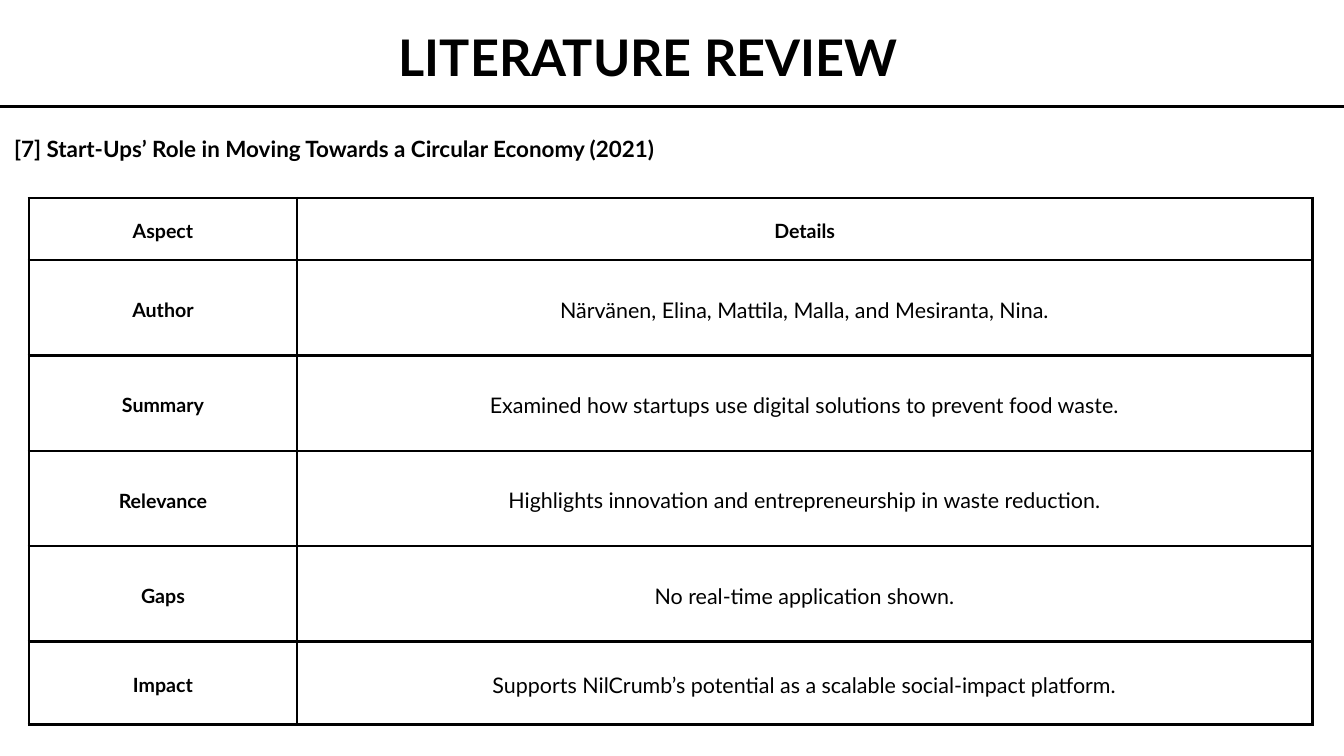
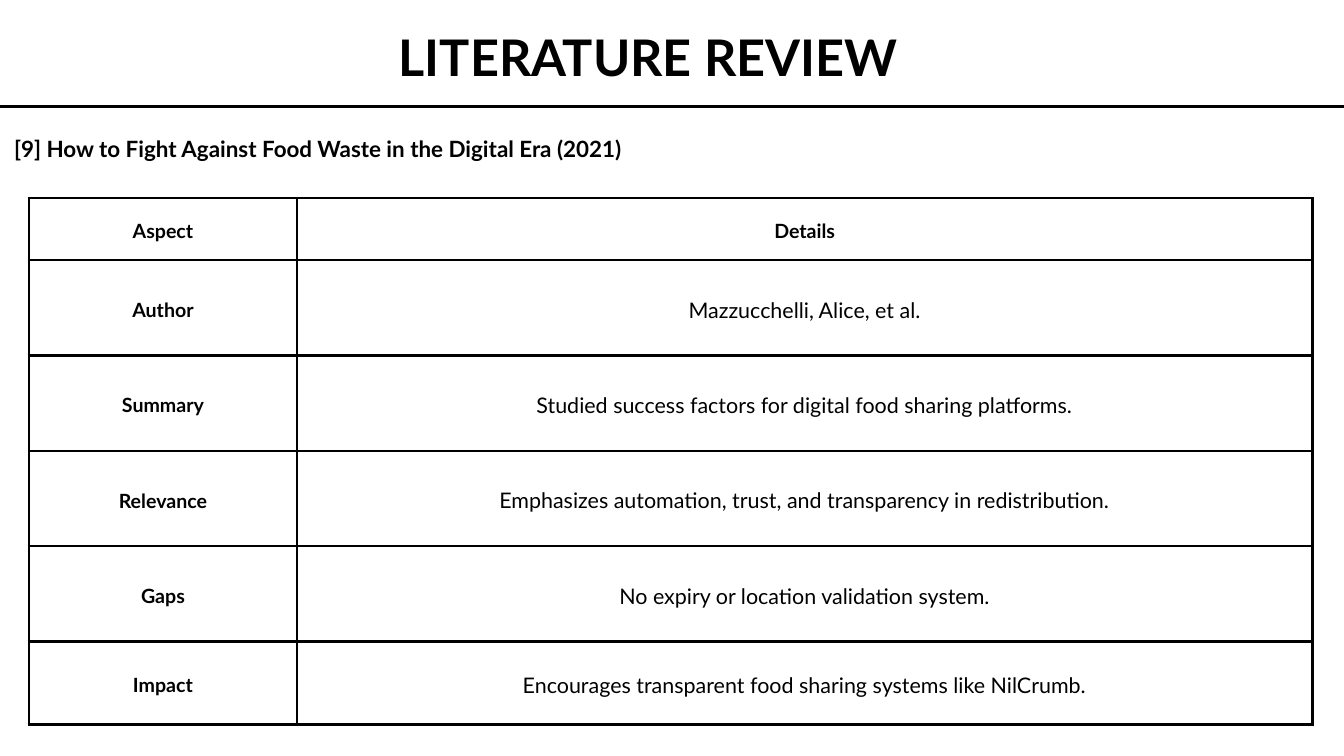
from lxml.etree import SubElement
from pptx import Presentation
from pptx.dml.color import RGBColor
from pptx.enum.shapes import MSO_CONNECTOR
from pptx.enum.text import MSO_ANCHOR, PP_ALIGN
from pptx.oxml.ns import qn
from pptx.util import Inches, Pt

COLORS = {"ink": "000000", "paper": "FFFFFF"}
FONT = "Lato"
LEADING = 1.4
RULE_WIDTH = Pt(3)
ASPECTS = ["Author", "Summary", "Relevance", "Gaps", "Impact"]
REVIEWS = [
    ("[7] Start-Ups’ Role in Moving Towards a Circular Economy (2021)", [
        "Närvänen, Elina, Mattila, Malla, and Mesiranta, Nina.",
        "Examined how startups use digital solutions to prevent food waste.",
        "Highlights innovation and entrepreneurship in waste reduction.",
        "No real-time application shown.",
        "Supports NilCrumb’s potential as a scalable social-impact platform.",
    ]),
    ("[9] How to Fight Against Food Waste in the Digital Era (2021)", [
        "Mazzucchelli, Alice, et al.",
        "Studied success factors for digital food sharing platforms.",
        "Emphasizes automation, trust, and transparency in redistribution.",
        "No expiry or location validation system.",
        "Encourages transparent food sharing systems like NilCrumb.",
    ]),
]

deck = Presentation()
deck.slide_width = Inches(20)
deck.slide_height = Inches(11.25)
column = deck.slide_width // 20
row = deck.slide_height // 45
aspect_width, details_width = 3.99 * column, 15.11 * column
row_heights = [3.68 * row] + [5.68 * row] * 4 + [4.92 * row]
cell_margin = Inches(0.21)


def write(frame, text, size, bold=True, align=PP_ALIGN.CENTER):
    frame.word_wrap = True
    paragraph = frame.paragraphs[0]
    paragraph.text = text
    paragraph.alignment = align
    paragraph.line_spacing = Pt(round(size * LEADING, 1))
    paragraph.font.name = FONT
    paragraph.font.size = Pt(size)
    paragraph.font.bold = bold
    paragraph.font.color.rgb = RGBColor.from_string(COLORS["ink"])


def add_heading(slide, text, size, left, top, width, height, align):
    frame = slide.shapes.add_textbox(
        int(left * column), int(top * row), int(width * column), int(height * row)
    ).text_frame
    frame.margin_left = frame.margin_right = frame.margin_top = frame.margin_bottom = 0
    write(frame, text, size, align=align)


for paper, details in REVIEWS:
    slide = deck.slides.add_slide(deck.slide_layouts[6])
    slide.background.fill.solid()
    slide.background.fill.fore_color.rgb = RGBColor.from_string(COLORS["paper"])

    rule_y = int(6.36 * row)
    title_rule = slide.shapes.add_connector(
        MSO_CONNECTOR.STRAIGHT, int(-0.59 * column), rule_y, int(20.59 * column), rule_y
    )
    title_rule.line.color.rgb = RGBColor.from_string(COLORS["ink"])
    title_rule.line.width = RULE_WIDTH
    SubElement(title_rule._element.spPr, qn("a:effectLst"))

    entries = [("Aspect", "Details"), *zip(ASPECTS, details)]
    review = slide.shapes.add_table(
        len(entries), 2, int(0.43 * column), int(11.8 * row),
        int(aspect_width + details_width), int(sum(row_heights))
    ).table
    review.horz_banding = False
    review.first_row = False
    review.columns[0].width = int(aspect_width)
    review.columns[1].width = int(details_width)

    for r, entry in enumerate(entries):
        review.rows[r].height = int(row_heights[r])
        for c, text in enumerate(entry):
            cell = review.cell(r, c)
            is_label = r == 0 or c == 0
            write(cell.text_frame, text, 21 if is_label else 23, is_label)
            cell.vertical_anchor = MSO_ANCHOR.MIDDLE
            cell.margin_left = cell.margin_right = cell_margin
            cell.margin_top = cell.margin_bottom = cell_margin
            cell_properties = cell._tc.get_or_add_tcPr()
            for edge in ("a:lnL", "a:lnR", "a:lnT", "a:lnB"):
                border = SubElement(cell_properties, qn(edge), w=str(RULE_WIDTH))
                ink = SubElement(border, qn("a:solidFill"))
                SubElement(ink, qn("a:srgbClr"), val=COLORS["ink"])
            cell.fill.background()

    add_heading(slide, "LITERATURE REVIEW", 54, 5.75, 0.96, 7.79, 4.68, PP_ALIGN.CENTER)
    add_heading(slide, paper, 24, 0.21, 7.8, 19.53, 2.12, PP_ALIGN.LEFT)

deck.save("out.pptx")
